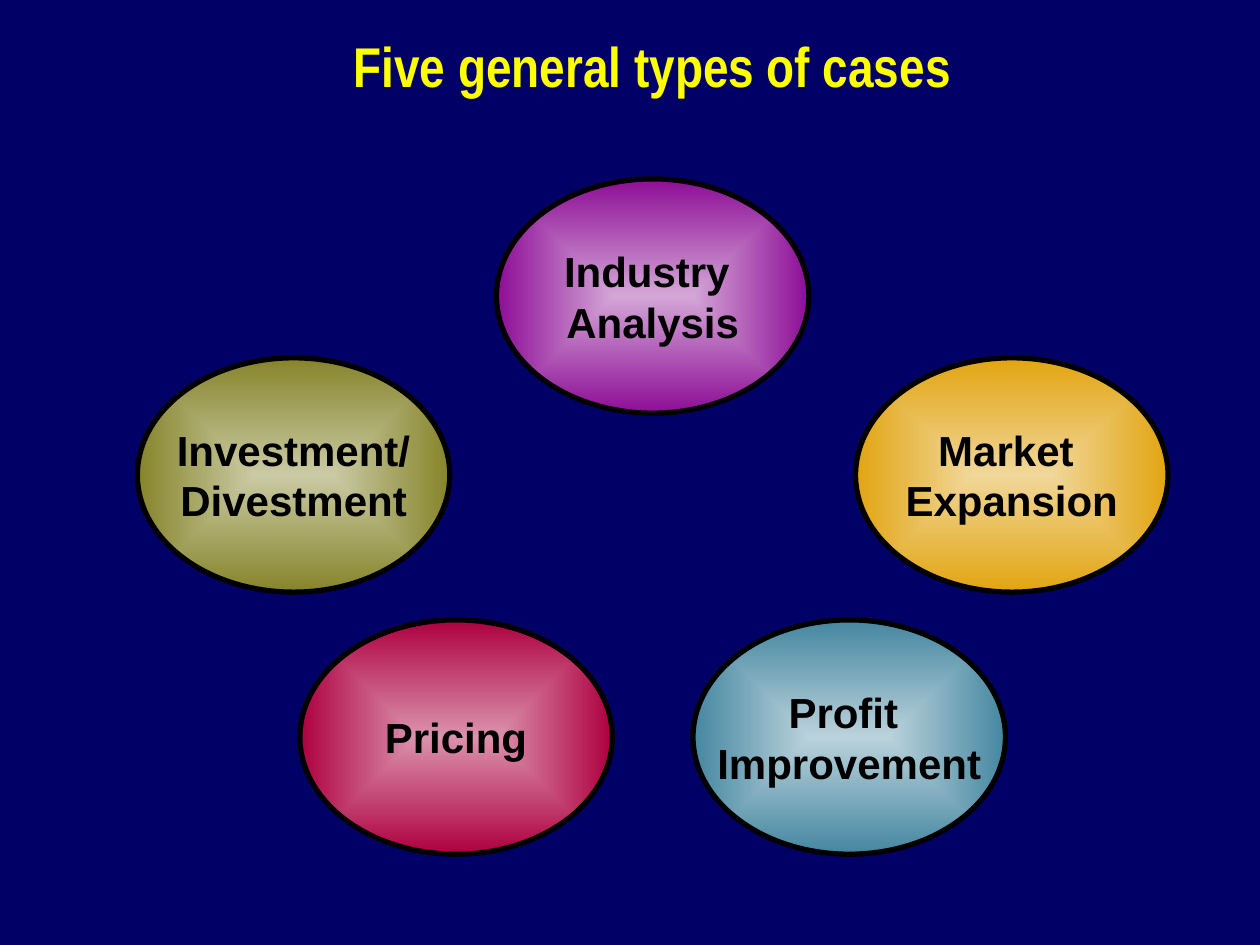
from lxml import etree
from pptx import Presentation
from pptx.dml.color import RGBColor
from pptx.enum.shapes import MSO_SHAPE
from pptx.enum.text import MSO_ANCHOR, PP_ALIGN
from pptx.oxml import parse_xml
from pptx.oxml.ns import nsdecls, qn
from pptx.util import Inches, Pt

NAVY = RGBColor(0x00, 0x00, 0x66)
YELLOW = RGBColor(0xFF, 0xFF, 0x00)
BLACK = RGBColor(0x00, 0x00, 0x00)

OVAL_WIDTH, OVAL_HEIGHT = 2.48, 1.86
UPPER_ROW, MIDDLE_ROW, LOWER_ROW = 1.42, 2.84, 4.92

# lines, left, top, centre colour, edge colour
CASE_TYPES = [
    (["Investment/", "Divestment"], 1.09, MIDDLE_ROW,
     RGBColor(0xCA, 0xCA, 0xA4), RGBColor(0x86, 0x84, 0x2A)),
    (["Industry ", "Analysis"], 3.94, UPPER_ROW,
     RGBColor(0xD4, 0xA6, 0xD7), RGBColor(0x8D, 0x0D, 0x96)),
    (["Market ", "Expansion"], 6.79, MIDDLE_ROW,
     RGBColor(0xF1, 0xD7, 0x99), RGBColor(0xE2, 0xA4, 0x11)),
    (["Pricing"], 2.38, LOWER_ROW,
     RGBColor(0xDB, 0x92, 0xAD), RGBColor(0xAE, 0x00, 0x3F)),
    (["Profit ", "Improvement"], 5.5, LOWER_ROW,
     RGBColor(0xBA, 0xD2, 0xDB), RGBColor(0x45, 0x87, 0xA1)),
]


def write_lines(frame, lines, font_name, size, color):
    """Write each line as a centred bold paragraph."""
    for index, line in enumerate(lines):
        para = frame.paragraphs[0] if index == 0 else frame.add_paragraph()
        para.alignment = PP_ALIGN.CENTER
        span = para.add_run()
        span.text = line
        span.font.name = font_name
        span.font.size = Pt(size)
        span.font.bold = True
        span.font.color.rgb = color


def fill_from_centre(shape, centre, edge):
    """Fill with a rectangular gradient that runs from centre to edge."""
    shape.fill.gradient()
    for stop, color, position in zip(shape.fill.gradient_stops, (centre, edge), (0, 1)):
        stop.color.rgb = color
        stop.position = position
    gradient = shape._element.spPr.find(qn("a:gradFill"))
    path = parse_xml(f'<a:path {nsdecls("a")} path="rect"/>')
    etree.SubElement(path, qn("a:fillToRect"), l="50000", t="50000", r="50000", b="50000")
    gradient.replace(gradient.find(qn("a:lin")), path)


def add_title(page, text):
    box = page.shapes.add_textbox(Inches(0.7), Inches(0.25), Inches(8.96), Inches(0.67))
    frame = box.text_frame
    frame.word_wrap = True
    frame.margin_left = frame.margin_right = 0
    frame.margin_top = frame.margin_bottom = 0
    write_lines(frame, [text], "Arial Narrow", 32, YELLOW)


def add_case_oval(page, lines, left, top, centre, edge):
    oval = page.shapes.add_shape(MSO_SHAPE.OVAL, Inches(left), Inches(top),
                                 Inches(OVAL_WIDTH), Inches(OVAL_HEIGHT))
    oval.shadow.inherit = False
    fill_from_centre(oval, centre, edge)
    oval.line.color.rgb = BLACK
    oval.line.width = Pt(3)
    frame = oval.text_frame
    frame.word_wrap = False
    frame.vertical_anchor = MSO_ANCHOR.MIDDLE
    write_lines(frame, lines, "Arial", 24, BLACK)


def main():
    deck = Presentation()
    deck.slide_width, deck.slide_height = Inches(10), Inches(7.5)
    page = deck.slides.add_slide(deck.slide_layouts[6])
    page.background.fill.solid()
    page.background.fill.fore_color.rgb = NAVY
    add_title(page, "Five general types of cases")
    for case_type in CASE_TYPES:
        add_case_oval(page, *case_type)
    deck.save("out.pptx")


if __name__ == "__main__":
    main()
